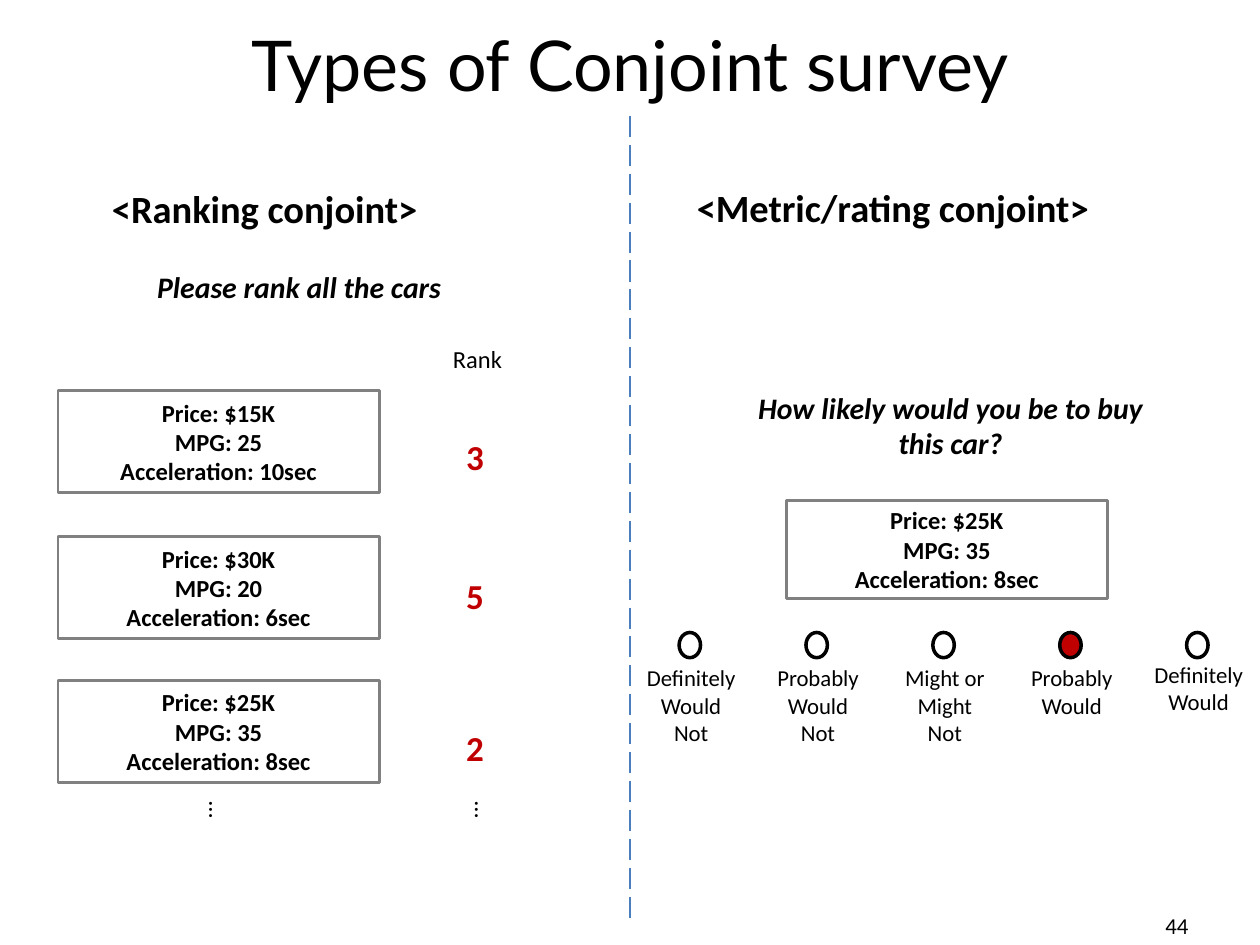
from copy import deepcopy

from pptx import Presentation
from pptx.dml.color import RGBColor
from pptx.enum.dml import MSO_LINE_DASH_STYLE as Dash
from pptx.enum.shapes import MSO_CONNECTOR as Link, MSO_SHAPE as Shape
from pptx.enum.text import MSO_ANCHOR as Anchor, PP_ALIGN as Align
from pptx.oxml.ns import qn
from pptx.util import Inches, Pt
from lxml.etree import SubElement

WIDE, HIGH = 10, 7.5
BLACK, RED, GREY, BLUE = "000000", "C00000", "808080", "4B7EBC"
LOOSE, TIGHT, NONE = (0.1, 0.05), (0.07, 0.04), (0, 0)
LEFT, MID, RIGHT = Align.LEFT, Align.CENTER, Align.RIGHT


def paint(item, color):
    """Give a font, line or fill a solid hex colour."""
    if hasattr(item, "solid"):
        item.solid()
        item.fore_color.rgb = RGBColor.from_string(color)
    elif hasattr(item, "fill"):
        paint(item.fill, color)


def write(shape, text, size=14, color=BLACK, font="Calibri", bold=False,
          italic=False, align=MID, pad=LOOSE, before=0, anchor=Anchor.TOP):
    """Put text in a shape: newline starts a paragraph, \\v breaks a line."""
    frame = shape.text_frame
    frame.word_wrap = True
    frame.vertical_anchor = anchor
    frame.margin_left = frame.margin_right = Inches(pad[0])
    frame.margin_top = frame.margin_bottom = Inches(pad[1])
    frame.text = text
    for para in frame.paragraphs:
        para.alignment = align
        para.space_before = Pt(before)
        for run in para.runs:
            face = run.font
            face.name, face.size = font, Pt(size)
            face.bold, face.italic = bold, italic
            paint(face, color)
        # Line breaks take the same size as the text around them
        for gap in para._p.findall(qn("a:br")):
            gap.append(deepcopy(para.runs[0]._r.rPr))


def label(slide, box, text, turn=0, **style):
    shape = slide.shapes.add_textbox(*map(Inches, box))
    shape.rotation = turn
    write(shape, text, **style)


def outline(slide, kind, box, color, width, fill=None):
    shape = slide.shapes.add_shape(kind, *map(Inches, box))
    shape.shadow.inherit = False
    paint(shape.line, color)
    shape.line.width = Pt(width)
    if fill:
        paint(shape.fill, fill)
    else:
        shape.fill.background()
    return shape


def card(slide, left, top, high, car, pad):
    """A framed car profile: price, mileage, acceleration."""
    price, mpg, secs = car
    shape = outline(slide, Shape.RECTANGLE, (left, top, 2.55, high), GREY, 1.5)
    text = f"Price: ${price}K\nMPG: {mpg}\nAcceleration: {secs}sec"
    write(shape, text, bold=True, pad=pad, anchor=Anchor.MIDDLE)


def divide(slide):
    ends = (WIDE / 2, 0.92, WIDE / 2, 7.31)
    line = slide.shapes.add_connector(Link.STRAIGHT, *map(Inches, ends))
    paint(line.line, BLUE)
    line.line.width = Pt(1.5)
    line.line.dash_style = Dash.LONG_DASH
    SubElement(line._element.spPr, qn("a:effectLst"))


def ranking(slide):
    label(slide, (0.79, 1.42, 3.17, 0.48), "<Ranking conjoint>", size=22,
          bold=True, align=LEFT, before=6)
    label(slide, (-0.04, 2.08, 4.83, 0.38), "Please rank all the cars",
          size=17, bold=True, italic=True)
    label(slide, (3.29, 2.68, 1, 0.34), "Rank")

    # Car cards with their ranks
    rows = [(3.1, 3.41, (15, 25, 10), "3"),
            (4.26, 4.51, (30, 20, 6), "5"),
            (5.4, 5.72, (25, 35, 8), "2")]
    for top, mark, car, rank in rows:
        card(slide, 0.46, top, 0.81, car, LOOSE)
        label(slide, (3.27, mark, 1, 0.44), rank, size=20, color=RED,
              bold=True)

    # Both columns go on
    for left in (1.4, 3.51):
        label(slide, (left, 6.43, 0.67, 0.34), "…", turn=90, align=LEFT)


def rating(slide):
    label(slide, (5.46, 1.42, 4.02, 0.45), "<Metric/rating conjoint>",
          size=22, bold=True, align=LEFT, pad=TIGHT, before=6)
    label(slide, (5.13, 3.05, 4.83, 0.64),
          "How likely would you be to buy\vthis car?", size=17, bold=True,
          italic=True, pad=TIGHT)
    card(slide, 6.24, 3.97, 0.78, (25, 35, 8), TIGHT)

    # Five-point scale with one choice filled in
    scale = [("Definitely\vWould\nNot", 5.23, 0.73),
             ("Probably Would\nNot", 5.23, 0.73),
             ("Might or Might\vNot", 5.23, 0.73),
             ("Probably\nWould", 5.23, 0.51),
             ("Definitely\nWould", 5.2, 0.51)]
    step, chosen = 1.007, 3
    for col, (text, top, high) in enumerate(scale):
        shift = col * step
        outline(slide, Shape.OVAL, (5.39 + shift, 5.02, 0.17, 0.2), BLACK, 2,
                fill=RED if col == chosen else None)
        label(slide, (4.87 + shift, top, 1.23, high), text, size=13,
              pad=TIGHT)


def main():
    deck = Presentation()
    deck.slide_width, deck.slide_height = Inches(WIDE), Inches(HIGH)
    slide = deck.slides.add_slide(deck.slide_layouts[6])

    # Title and page number
    label(slide, (0, 0.17, WIDE, 0.75), "Types of Conjoint survey", size=40,
          font="Lato", pad=NONE)
    label(slide, (9.12, 7.2, 0.41, 0.29), "44", size=13, align=RIGHT,
          anchor=Anchor.MIDDLE)

    # Two halves and the line between them
    divide(slide)
    ranking(slide)
    rating(slide)
    deck.save("out.pptx")


if __name__ == "__main__":
    main()
